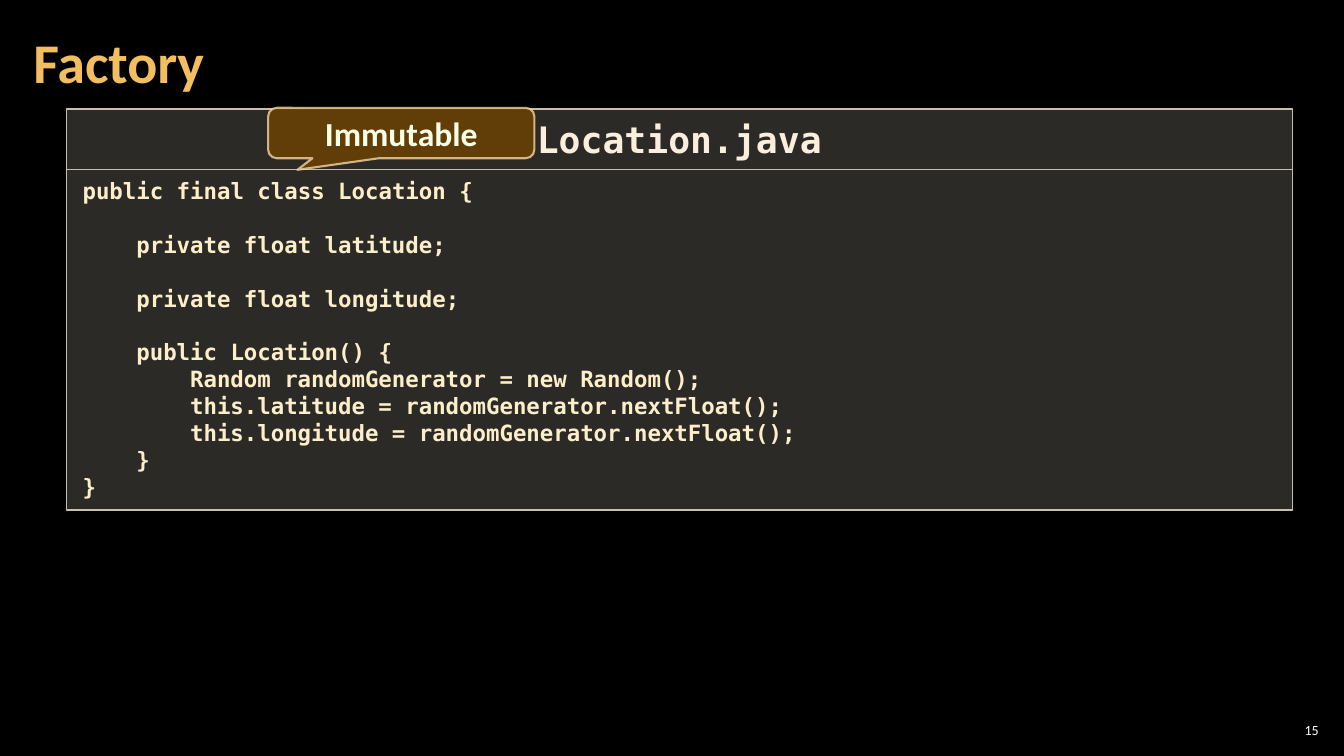
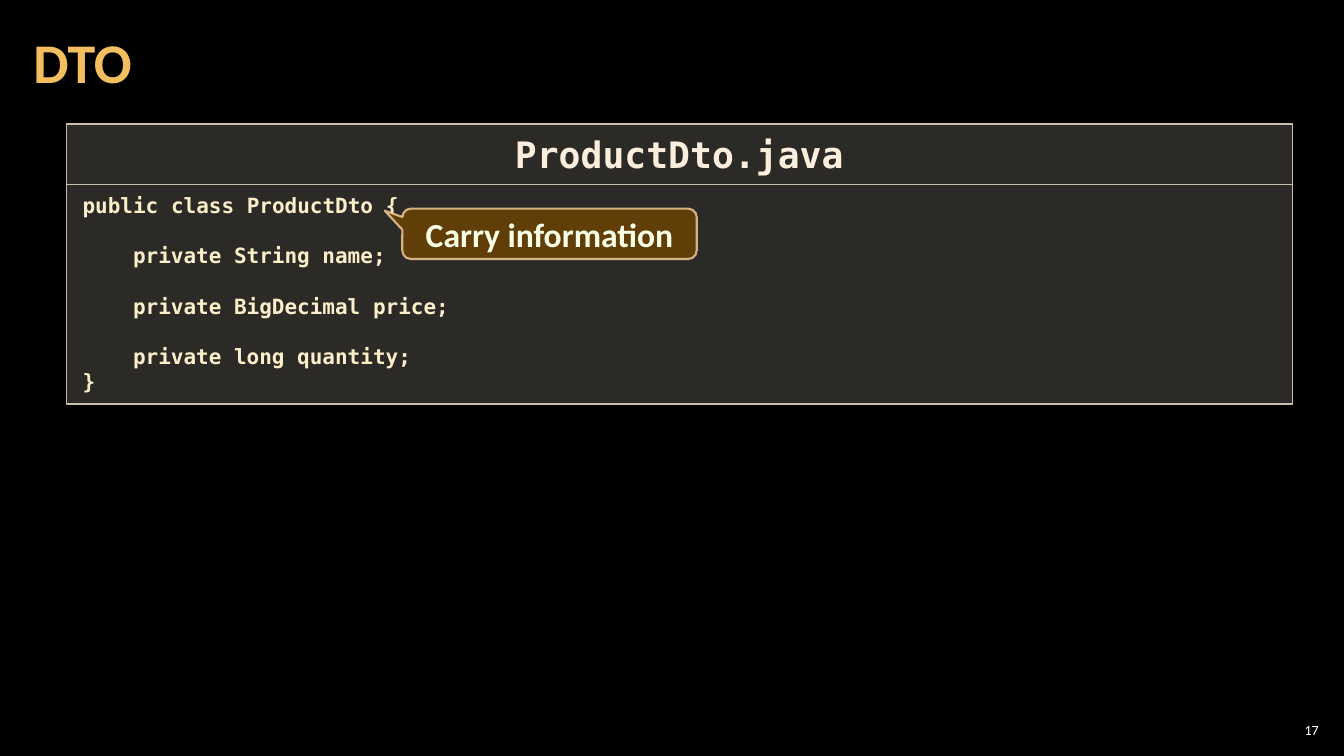
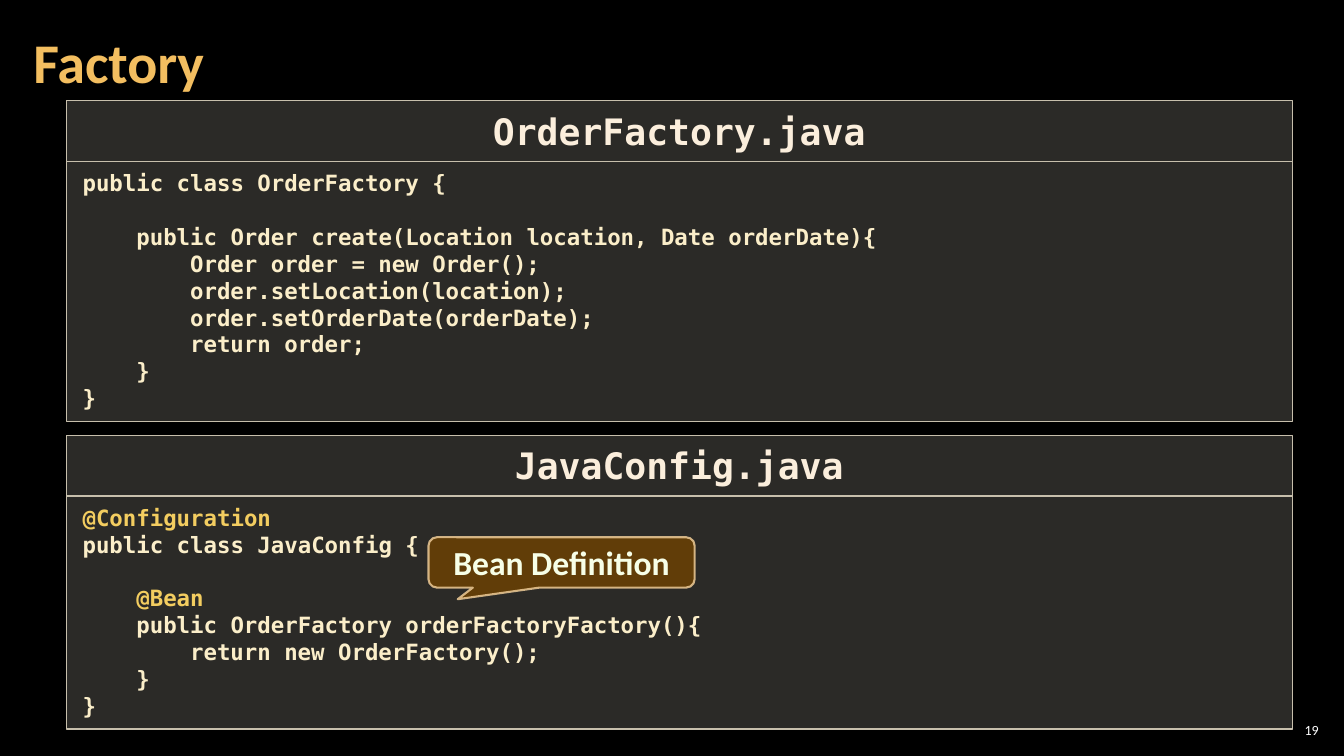
import dataclasses

import lxml.etree
import pptx
import pptx.dml.color
import pptx.enum.shapes
import pptx.enum.text
import pptx.oxml.ns
import pptx.util

Inches = pptx.util.Inches
Pt = pptx.util.Pt
Align = pptx.enum.text.PP_ALIGN
Anchor = pptx.enum.text.MSO_ANCHOR
Preset = pptx.enum.shapes.MSO_SHAPE


@dataclasses.dataclass(frozen=True)
class Theme:
    # Colours
    background: str = "000000"
    title: str = "F3BE60"
    number: str = "FFFFFF"
    panel: str = "D9D5C7"
    panel_line: str = "C7BFAC"
    file_name: str = "FBEEDC"
    code: str = "FBEEC9"
    annotation: str = "F3CD60"
    callout: str = "643F07"
    callout_line: str = "F8D49E"
    callout_text: str = "F7FFE7"
    # Opacity in percent
    panel_opacity: int = 20
    callout_opacity: int = 95
    callout_line_opacity: int = 80
    # Fonts and type sizes
    text_font: str = "Calibri"
    code_font: str = "DejaVu Sans Mono"
    title_size: int = 40
    file_name_size: int = 26
    callout_size: int = 24
    code_size: int = 16
    number_size: int = 10
    # Code metrics, as multiples of the type size
    leading: float = 1.2
    character_width: float = 0.6


THEME = Theme()

PANEL_LEFT, PANEL_WIDTH = 0.66, 12.16
HEADER_HEIGHT = 0.6
CODE_PADDING = 0.18
PANEL_GAP = 0.14
CALLOUT_HEIGHT = 0.5
POINTER_DOWN = (-0.39, 0.73)
POINTER_LEFT = (-0.56, -0.46)

LOCATION_CODE = """\
public final class Location {

    private float latitude;

    private float longitude;

    public Location() {
        Random randomGenerator = new Random();
        this.latitude = randomGenerator.nextFloat();
        this.longitude = randomGenerator.nextFloat();
    }
}"""

PRODUCT_CODE = """\
public class ProductDto {

    private String name;

    private BigDecimal price;

    private long quantity;
}"""

ORDER_FACTORY_CODE = """\
public class OrderFactory {

    public Order create(Location location, Date orderDate){
        Order order = new Order();
        order.setLocation(location);
        order.setOrderDate(orderDate);
        return order;
    }
}"""

CONFIGURATION_CODE = """\
@Configuration
public class JavaConfig {

    @Bean
    public OrderFactory orderFactoryFactory(){
        return new OrderFactory();
    }
}"""


def color(value):
    return pptx.dml.color.RGBColor.from_string(value)


def add_run(paragraph, text, font, size, value, bold=True):
    run = paragraph.add_run()
    run.text = text
    run.font.name = font
    run.font.size = Pt(size)
    run.font.bold = bold
    run.font.color.rgb = color(value)


def set_frame(shape, anchor, horizontal, vertical):
    frame = shape.text_frame
    frame.word_wrap = True
    frame.auto_size = pptx.enum.text.MSO_AUTO_SIZE.NONE
    frame.vertical_anchor = anchor
    frame.margin_left = frame.margin_right = Inches(horizontal)
    frame.margin_top = frame.margin_bottom = Inches(vertical)
    return frame


def set_opacity(shape, solid_fill_location, percent):
    qualified = pptx.oxml.ns.qn
    steps = "/".join(qualified(step) for step in solid_fill_location.split("/"))
    solid_fill = shape._element.spPr.find(steps)
    alpha = lxml.etree.SubElement(solid_fill[0], qualified("a:alpha"))
    alpha.set("val", str(percent * 1000))


def add_box(slide, preset, box, fill, opacity, line, line_width):
    shape = slide.shapes.add_shape(preset, *(Inches(length) for length in box))
    shape.shadow.inherit = False
    shape.fill.solid()
    shape.fill.fore_color.rgb = color(fill)
    set_opacity(shape, "a:solidFill", opacity)
    shape.line.color.rgb = color(line)
    shape.line.width = Pt(line_width)
    return shape


def add_panel(slide, box):
    shape = add_box(slide, Preset.RECTANGLE, box, THEME.panel,
                    THEME.panel_opacity, THEME.panel_line, 1)
    return set_frame(shape, Anchor.TOP, 0.16, 0.08)


def fill_code(frame, code, size):
    """Indents and blank lines become paragraph indents and spacing."""
    leading = Pt(size * THEME.leading)
    paragraph = frame.paragraphs[0]
    blank_lines = 0
    for index, line in enumerate(code.splitlines()):
        text = line.strip()
        if not text:
            blank_lines += 1
            continue
        if index:
            paragraph = frame.add_paragraph()
        paragraph.alignment = Align.LEFT
        paragraph.line_spacing = leading
        paragraph.space_before = leading * blank_lines
        indent = Pt((len(line) - len(text)) * size * THEME.character_width)
        properties = paragraph._p.get_or_add_pPr()
        properties.set("marL", str(indent))
        properties.set("indent", "0")
        value = THEME.annotation if text.startswith("@") else THEME.code
        add_run(paragraph, text, THEME.code_font, size, value)
        blank_lines = 0


def add_code_file(slide, top, file_name, code, size=THEME.code_size):
    """Draws the file name over its code and returns the bottom edge."""
    # Code
    code_top = top + HEADER_HEIGHT
    line_count = len(code.splitlines())
    code_height = CODE_PADDING + line_count * size * THEME.leading / 72
    frame = add_panel(slide, (PANEL_LEFT, code_top, PANEL_WIDTH, code_height))
    fill_code(frame, code, size)

    # File name
    frame = add_panel(slide, (PANEL_LEFT, top, PANEL_WIDTH, HEADER_HEIGHT))
    paragraph = frame.paragraphs[0]
    paragraph.alignment = Align.CENTER
    add_run(paragraph, file_name, THEME.code_font, THEME.file_name_size,
            THEME.file_name)
    return code_top + code_height


def add_callout(slide, left, top, width, text, pointer):
    shape = add_box(slide, Preset.ROUNDED_RECTANGULAR_CALLOUT,
                    (left, top, width, CALLOUT_HEIGHT), THEME.callout,
                    THEME.callout_opacity, THEME.callout_line, 1.5)
    set_opacity(shape, "a:ln/a:solidFill", THEME.callout_line_opacity)
    shape.adjustments[0], shape.adjustments[1] = pointer
    shape.adjustments[2] = 0.17
    paragraph = set_frame(shape, Anchor.MIDDLE, 0.1, 0.05).paragraphs[0]
    paragraph.alignment = Align.CENTER
    add_run(paragraph, text, THEME.text_font, THEME.callout_size,
            THEME.callout_text)


def prepare_template(presentation):
    """Sets the shared background and title position."""
    presentation.slide_width = Inches(13.33)
    presentation.slide_height = Inches(7.5)
    background = presentation.slide_master.background.fill
    background.solid()
    background.fore_color.rgb = color(THEME.background)
    layout = presentation.slide_layouts.get_by_name("Title Only")
    title = layout.placeholders[0]
    title.left, title.top = Inches(0.21), Inches(0.04)
    title.width, title.height = Inches(10.47), Inches(1.21)
    return layout


def add_code_slide(presentation, layout, title, number, top, files, callout,
                   size=THEME.code_size):
    slide = presentation.slides.add_slide(layout)

    # Title
    frame = set_frame(slide.shapes.title, Anchor.MIDDLE, 0.12, 0.04)
    paragraph = frame.paragraphs[0]
    paragraph.alignment = Align.LEFT
    paragraph.line_spacing = 0.9
    add_run(paragraph, title, THEME.text_font, THEME.title_size, THEME.title)

    # Page number
    number_box = slide.shapes.add_textbox(
        Inches(12.65), Inches(7.14), Inches(0.47), Inches(0.21))
    paragraph = set_frame(number_box, Anchor.MIDDLE, 0.04, 0.04).paragraphs[0]
    paragraph.alignment = Align.RIGHT
    add_run(paragraph, number, THEME.text_font, THEME.number_size,
            THEME.number, bold=False)

    # Code files, stacked, and the callout over them
    for file_name, code in files:
        top = add_code_file(slide, top, file_name, code, size) + PANEL_GAP
    add_callout(slide, *callout)


def main():
    presentation = pptx.Presentation()
    layout = prepare_template(presentation)
    add_code_slide(
        presentation, layout, "Factory", "15", 1.08,
        [("Location.java", LOCATION_CODE)],
        (2.66, 1.07, 2.64, "Immutable", POINTER_DOWN))
    add_code_slide(
        presentation, layout, "DTO", "17", 1.23,
        [("ProductDto.java", PRODUCT_CODE)],
        (3.99, 2.07, 2.92, "Carry information", POINTER_LEFT), size=15)
    add_code_slide(
        presentation, layout, "Factory", "19", 1,
        [("OrderFactory.java", ORDER_FACTORY_CODE),
         ("JavaConfig.java", CONFIGURATION_CODE)],
        (4.25, 5.33, 2.64, "Bean Definition", POINTER_DOWN))
    presentation.save("out.pptx")


if __name__ == "__main__":
    main()
